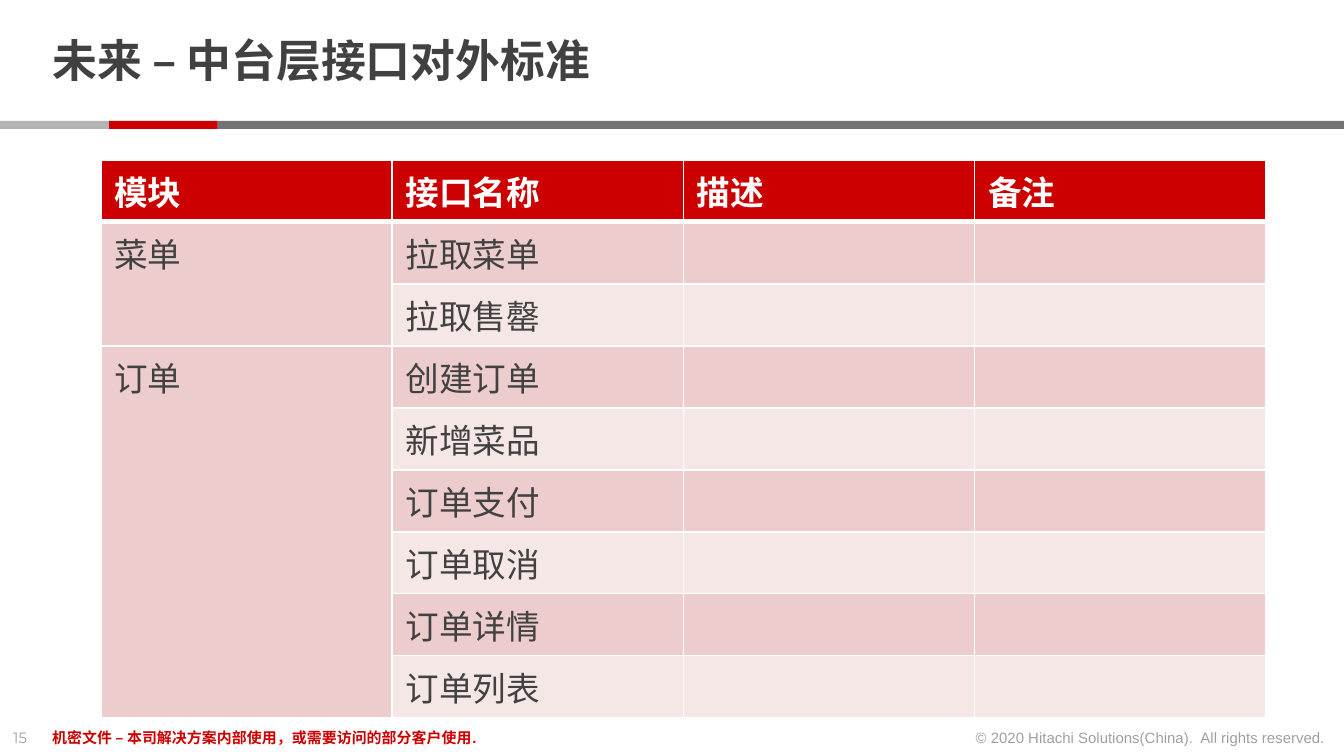
from lxml.etree import SubElement
from pptx import Presentation
from pptx.dml.color import RGBColor
from pptx.enum.shapes import MSO_SHAPE as Shape
from pptx.enum.text import MSO_ANCHOR as Anchor, MSO_AUTO_SIZE as AutoSize, PP_ALIGN as Align
from pptx.oxml.ns import qn
from pptx.util import Inches, Pt

RED = RGBColor(0xCC, 0x00, 0x00)
INK = RGBColor(0x41, 0x41, 0x41)
DARK_GRAY = RGBColor(0x73, 0x73, 0x73)
LIGHT_GRAY = RGBColor(0xB3, 0xB3, 0xB3)
WHITE = RGBColor(0xFF, 0xFF, 0xFF)
ROSE = RGBColor(0xEC, 0xCC, 0xCC)
PALE_ROSE = RGBColor(0xF6, 0xE7, 0xE7)
CJK_FONT = "Noto Sans CJK SC"

HEADERS = ["模块", "接口名称", "描述", "备注"]
MODULES = {
    "菜单": ["拉取菜单", "拉取售罄"],
    "订单": ["创建订单", "新增菜品", "订单支付", "订单取消", "订单详情", "订单列表"],
}


def add_run(para, text, size, color, font="Arial", bold=False, opacity=None):
    """Append one formatted run to a paragraph."""
    span = para.add_run()
    span.text = text
    span.font.size = Pt(size)
    span.font.bold = bold
    span.font.name = font
    span.font.color.rgb = color
    properties = span.font._element
    SubElement(properties, qn("a:ea"), typeface=CJK_FONT)
    if opacity is not None:
        tint = properties.find(".//" + qn("a:srgbClr"))
        SubElement(tint, qn("a:alpha"), val=str(opacity * 1000))


def add_title(page, left, top, width, height):
    """Place the slide title in its placeholder."""
    title = page.shapes.title
    title.left, title.top = Inches(left), Inches(top)
    title.width, title.height = Inches(width), Inches(height)
    frame = title.text_frame
    frame.auto_size = AutoSize.NONE
    frame.word_wrap = True
    frame.vertical_anchor = Anchor.MIDDLE
    frame.margin_top = frame.margin_bottom = 0
    para = frame.paragraphs[0]
    para.alignment = Align.LEFT
    para.line_spacing = 0.85
    add_run(para, "未来 – 中台层接口对外标准", 24, INK, CJK_FONT, bold=True)


def add_stripe(page, left, top, width, height):
    """Draw the three-colour rule under the title."""
    step = 0.81
    segments = [(2 * step, width - 2 * step, DARK_GRAY), (step, step, RED), (0, step, LIGHT_GRAY)]
    for offset, length, color in segments:
        bar = page.shapes.add_shape(
            Shape.RECTANGLE, Inches(left + offset), Inches(top), Inches(length), Inches(height))
        bar.shadow.inherit = False
        bar.fill.solid()
        bar.fill.fore_color.rgb = color
        bar.line.fill.background()


def style_cell(cell, fill, top, bottom):
    """Give a cell white borders and a solid fill."""
    properties = cell._tc.get_or_add_tcPr()
    for side, width in (("L", 1), ("R", 1), ("T", top), ("B", bottom)):
        line = SubElement(properties, qn("a:ln" + side), w=str(Pt(width)))
        paint = SubElement(line, qn("a:solidFill"))
        SubElement(paint, qn("a:srgbClr"), val=str(WHITE))
    cell.fill.solid()
    cell.fill.fore_color.rgb = fill


def add_interface_table(page, left, top, width, height):
    """Build the table of interfaces grouped by module."""
    rows = 1 + sum(len(names) for names in MODULES.values())
    table = page.shapes.add_table(
        rows, len(HEADERS), Inches(left), Inches(top), Inches(width), Inches(height)).table
    for row in range(rows):
        fill = RED if row == 0 else ROSE if row % 2 else PALE_ROSE
        for column in range(len(HEADERS)):
            style_cell(table.cell(row, column), fill, 3 if row == 1 else 1, 3 if row == 0 else 1)
    for column, label in enumerate(HEADERS):
        add_run(table.cell(0, column).text_frame.paragraphs[0], label, 18, WHITE, bold=True)
    start = 1
    for module, names in MODULES.items():
        head = table.cell(start, 0)
        head.merge(table.cell(start + len(names) - 1, 0))
        add_run(head.text_frame.paragraphs[0], module, 18, INK)
        for row, name in enumerate(names, start):
            add_run(table.cell(row, 1).text_frame.paragraphs[0], name, 18, INK)
        start += len(names)


def add_footer(page, left, top, width, height):
    """Place the page number, confidentiality note and copyright line."""
    items = [
        (0, 0.34, False, Align.LEFT, "15", dict(color=INK, font="Montserrat", opacity=50)),
        (0.29, 6.74, True, Align.LEFT,
         "机密文件 – 本司解决方案内部使用，或需要访问的部分客户使用.", dict(color=RED, bold=True)),
        (width - 2.88, 2.84, False, Align.RIGHT,
         "© 2020 Hitachi Solutions(China).\u00a0 All rights reserved.".replace("\u00a0", " "),
         dict(color=INK, opacity=50)),
    ]
    for offset, length, wrap, alignment, text, style in items:
        box = page.shapes.add_textbox(
            Inches(left + offset), Inches(top), Inches(length), Inches(height))
        box.text_frame.word_wrap = wrap
        para = box.text_frame.paragraphs[0]
        para.alignment = alignment
        add_run(para, text, 8, **style)


def main():
    """Build and save the deck."""
    deck = Presentation()
    deck.slide_width = Inches(10)
    deck.slide_height = deck.slide_width * 9 // 16
    page = deck.slides.add_slide(deck.slide_layouts[5])
    add_stripe(page, 0, 0.9, 10, 0.06)
    add_footer(page, 0, 5.37, 10, 0.24)
    add_title(page, 0.29, 0.11, 7.71, 0.73)
    add_interface_table(page, 0.75, 1.19, 8.67, 4.15)
    deck.save("out.pptx")


if __name__ == "__main__":
    main()
